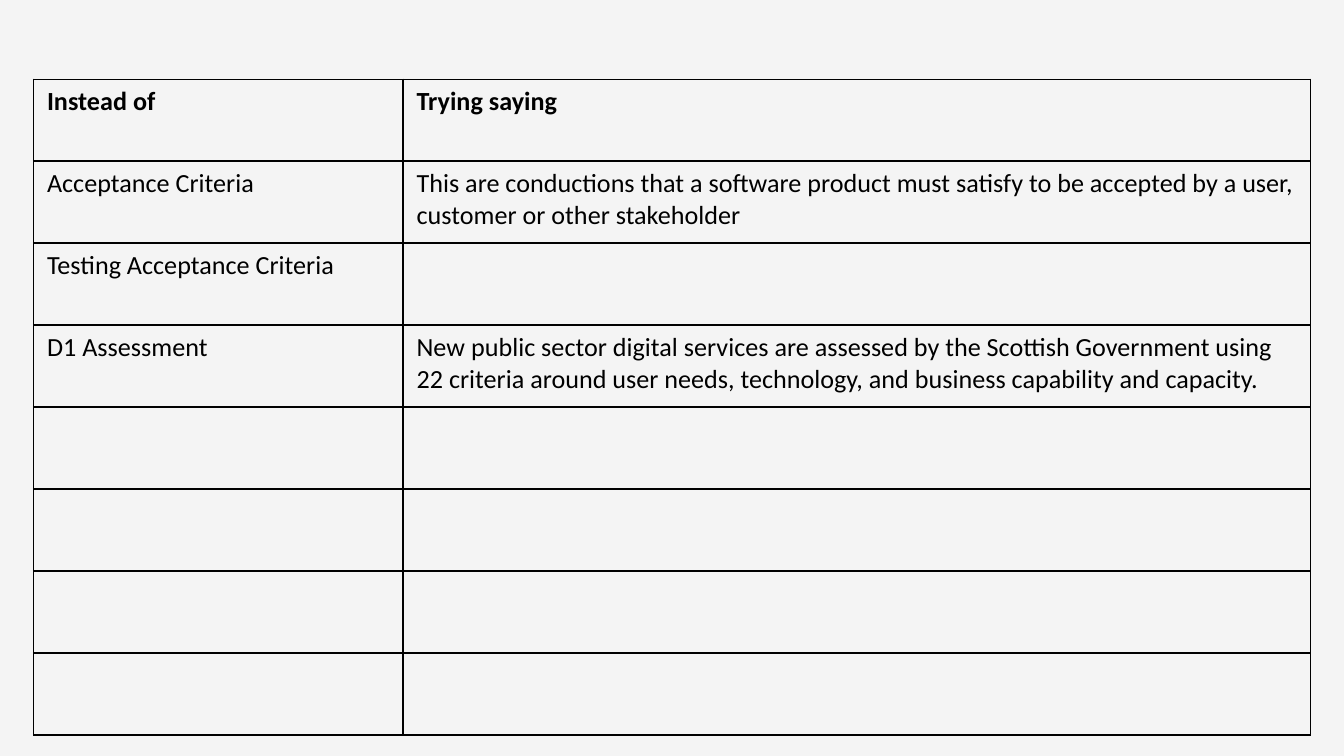
from lxml import etree
from pptx import Presentation
from pptx.dml.color import RGBColor
from pptx.oxml.ns import qn
from pptx.util import Inches, Pt

BLACK = RGBColor(0x00, 0x00, 0x00)
LIGHT_GREY = RGBColor(0xF4, 0xF4, 0xF4)
FONT = "Calibri"
BORDER_SIDES = ("a:lnL", "a:lnR", "a:lnT", "a:lnB")

COLUMN_WIDTHS = (2.75, 6.75)
ROW_HEIGHT = 0.61
ROWS = [
    ("Instead of", "Trying saying"),
    ("Acceptance Criteria",
     "This are conductions that a software product must satisfy to be accepted "
     "by a user, customer or other stakeholder\u00a0"),
    ("Testing Acceptance Criteria", ""),
    ("D1 Assessment",
     "New public sector digital services are assessed by the Scottish Government "
     "using 22 criteria around user needs, technology, and business capability "
     "and capacity.\u00a0"),
] + [("", "")] * 4


def add_borders(cell):
    properties = cell._tc.get_or_add_tcPr()
    for position, side in enumerate(BORDER_SIDES):
        line = etree.Element(qn(side), w=str(Pt(1)))
        fill = etree.SubElement(line, qn("a:solidFill"))
        etree.SubElement(fill, qn("a:srgbClr"), val=str(BLACK))
        properties.insert(position, line)


# Widescreen 16:9 slide and background
presentation = Presentation()
presentation.slide_width = Inches(10)
presentation.slide_height = Inches(10 * 9 / 16)
slide = presentation.slides.add_slide(presentation.slide_layouts[6])
slide.background.fill.solid()
slide.background.fill.fore_color.rgb = LIGHT_GREY

# Table grid
table = slide.shapes.add_table(
    len(ROWS), len(COLUMN_WIDTHS), Inches(0.25), Inches(0.59),
    Inches(sum(COLUMN_WIDTHS)), Inches(ROW_HEIGHT * len(ROWS))).table
table.horz_banding = False
table.first_row = False
for column, width in zip(table.columns, COLUMN_WIDTHS):
    column.width = Inches(width)
for row in table.rows:
    row.height = Inches(ROW_HEIGHT)

# Cell text, fill and borders
for row_index, texts in enumerate(ROWS):
    for column_index, text in enumerate(texts):
        cell = table.cell(row_index, column_index)
        cell.fill.background()
        add_borders(cell)
        if text:
            run = cell.text_frame.paragraphs[0].add_run()
            run.text = text
            run.font.name = FONT
            run.font.size = Pt(14)
            run.font.bold = row_index == 0
            run.font.color.rgb = BLACK

presentation.save("out.pptx")
